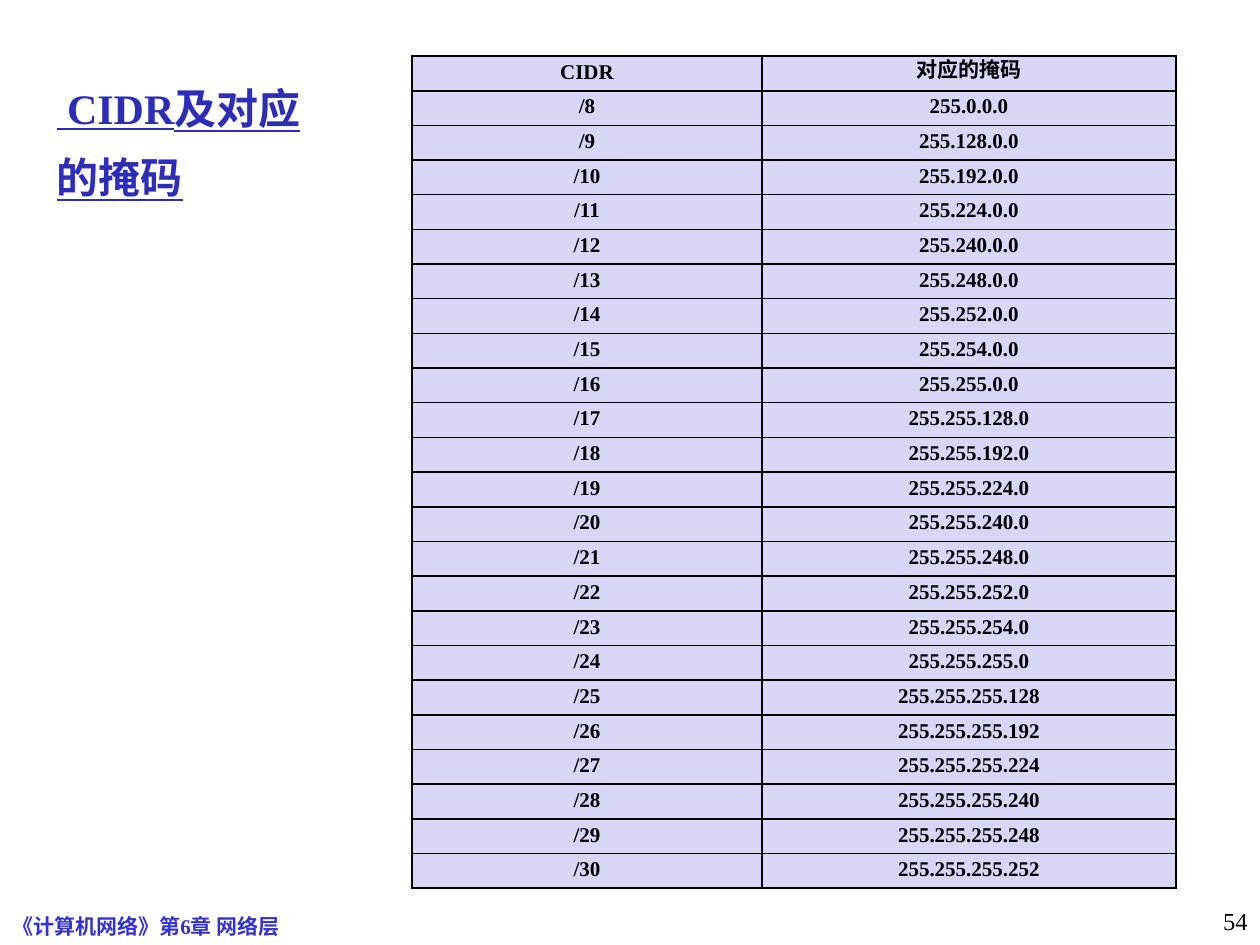
from lxml.etree import SubElement
from pptx import Presentation
from pptx.dml.color import RGBColor
from pptx.enum.text import MSO_ANCHOR as Anchor, MSO_AUTO_SIZE as AutoSize, PP_ALIGN as Align
from pptx.oxml.ns import qn
from pptx.util import Emu, Pt

PX = 914400 / 126
FONT = "Times New Roman"
HEADING_BLUE = RGBColor(0x2D, 0x2D, 0xB9)
FOOTER_BLUE = RGBColor(0x33, 0x33, 0xCC)
BLACK = RGBColor(0x00, 0x00, 0x00)
LAVENDER = RGBColor(0xD6, 0xD6, 0xF5)


def px(n):
    return Emu(round(n * PX))


def add_run(paragraph, text, size, color, bold=True, underline=None):
    run = paragraph.add_run()
    run.text = text
    run.font.name = FONT
    run.font.size = Pt(size)
    run.font.bold = bold
    run.font.underline = underline
    run.font.color.rgb = color


prs = Presentation()
prs.slide_width, prs.slide_height = px(1260), px(945)
slide = prs.slides.add_slide(prs.slide_layouts[5])

# Heading
heading = slide.shapes.title
heading.left, heading.top, heading.width, heading.height = px(44), px(76), px(1131), px(735)
heading_text = heading.text_frame
heading_text.word_wrap = True
heading_text.auto_size = AutoSize.NONE
heading_text.vertical_anchor = Anchor.TOP
for i, line in enumerate([" CIDR及对应", "的掩码"]):
    paragraph = heading_text.add_paragraph() if i else heading_text.paragraphs[0]
    paragraph.alignment = Align.LEFT
    paragraph.space_before = Pt(4.8 if i else 0)
    paragraph.space_after = Pt(6)
    add_run(paragraph, line, 24, HEADING_BLUE, underline=True)

# Table content: each prefix length gives its mask
rows = [("CIDR", "对应的掩码")]
for prefix in range(8, 31):
    mask = (1 << 32) - (1 << (32 - prefix))
    octets = [str(mask >> shift & 255) for shift in (24, 16, 8, 0)]
    rows.append((f"/{prefix}", ".".join(octets)))

# Mask table
last = len(rows) - 1
masks = slide.shapes.add_table(len(rows), 2, px(412), px(56), px(764), px(833)).table
masks.first_row = masks.horz_banding = False
masks.columns[0].width, masks.columns[1].width = px(350), px(414)
for r, row in enumerate(rows):
    masks.rows[r].height = px(833 / len(rows))
    for c, value in enumerate(row):
        cell = masks.cell(r, c)
        cell.margin_left = cell.margin_right = px(9)
        cell.margin_top = cell.margin_bottom = 0
        cell.vertical_anchor = Anchor.MIDDLE
        paragraph = cell.text_frame.paragraphs[0]
        paragraph.alignment = Align.CENTER
        paragraph.line_spacing = Pt(12)
        add_run(paragraph, value, 12, BLACK)

        # Heavier lines around the table and under the header
        heavy = {"a:lnL": c == 0, "a:lnR": c == 1, "a:lnT": r <= 1, "a:lnB": r in (0, last)}
        for side, is_heavy in heavy.items():
            border = SubElement(cell._tc.get_or_add_tcPr(), qn(side),
                                w=str(Pt(1.5 if is_heavy else 1)))
            border_fill = SubElement(border, qn("a:solidFill"))
            SubElement(border_fill, qn("a:srgbClr"), val=str(BLACK))
        cell.fill.solid()
        cell.fill.fore_color.rgb = LAVENDER

# Chapter footer
chapter = slide.shapes.add_textbox(px(0), px(881), px(735), px(64)).text_frame
chapter.word_wrap = True
chapter.vertical_anchor = Anchor.BOTTOM
add_run(chapter.paragraphs[0], "《计算机网络》第6章 网络层", 12, FOOTER_BLUE)

# Page number
page = slide.shapes.add_textbox(px(998), px(900), px(262), px(45)).text_frame
page.word_wrap = True
page.paragraphs[0].alignment = Align.RIGHT
add_run(page.paragraphs[0], "54", 14, BLACK, bold=False)

prs.save("out.pptx")
